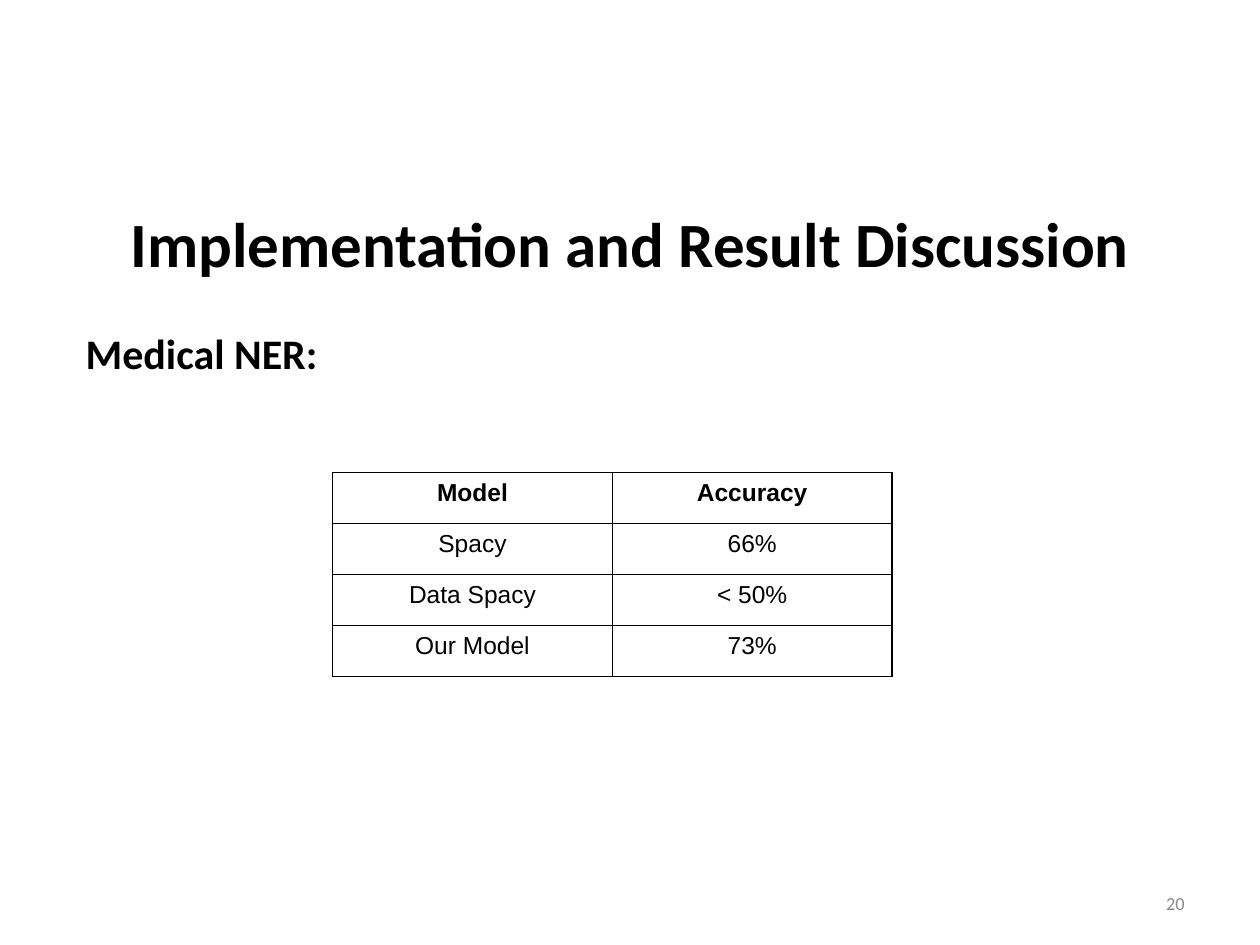
from dataclasses import dataclass

from lxml.etree import SubElement
from pptx import Presentation
from pptx.dml.color import RGBColor
from pptx.enum.text import MSO_ANCHOR as Anchor, PP_ALIGN as Align
from pptx.oxml.ns import qn
from pptx.util import Inches, Pt

COLORS = {"text": "000000", "number": "888888", "cell": "FFFFFF", "border": "000000"}


@dataclass
class Label:
    text: str
    box: tuple[float, float, float, float]
    size: float
    align: Align
    color: str = "text"
    bold: bool = True
    anchor: Anchor = Anchor.MIDDLE
    left_inset: float = 0.1
    vertical_inset: float = 0.1
    space_before: float = 0


LABELS = [
    Label("Implementation and Result Discussion", (0.5, 1.42, 9, 1), 36, Align.CENTER),
    Label("20", (7.17, 6.97, 2.33, 0.4), 10.5, Align.RIGHT, "number", False,
          vertical_inset=0.05),
    Label("Medical NER:", (0.5, 2.5, 9, 4.45), 24, Align.LEFT, anchor=Anchor.TOP,
          left_inset=0.18, space_before=4.8),
]

RESULTS = [
    ("Model", "Accuracy"),
    ("Spacy", "66%"),
    ("Data Spacy", "< 50%"),
    ("Our Model", "73%"),
]
TABLE_LEFT, TABLE_TOP = 2.64, 3.75
COLUMN_WIDTH, ROW_HEIGHT = 2.22, 0.405


def format_paragraph(p, font: str, size: float, color: str, bold: bool, align: Align) -> None:
    p.alignment = align
    for r in p.runs:
        r.font.name = font
        r.font.size = Pt(size)
        r.font.bold = bold
        r.font.color.rgb = RGBColor.from_string(COLORS[color])


def add_label(slide, label: Label) -> None:
    tf = slide.shapes.add_textbox(*map(Inches, label.box)).text_frame
    tf.word_wrap = True
    tf.vertical_anchor = label.anchor
    tf.margin_left, tf.margin_right = Inches(label.left_inset), Inches(0.1)
    tf.margin_top = tf.margin_bottom = Inches(label.vertical_inset)
    tf.text = label.text
    p = tf.paragraphs[0]
    p.space_before = Pt(label.space_before)
    format_paragraph(p, "Calibri", label.size, label.color, label.bold, label.align)


def style_cell(cell) -> None:
    """Give the cell a thin border on each side and a plain fill."""
    tc_pr = cell._tc.get_or_add_tcPr()
    for side in ("lnL", "lnR", "lnT", "lnB"):
        line = SubElement(tc_pr, qn(f"a:{side}"), w=str(Pt(1)))
        fill = SubElement(line, qn("a:solidFill"))
        SubElement(fill, qn("a:srgbClr"), val=COLORS["border"])
    cell.fill.solid()
    cell.fill.fore_color.rgb = RGBColor.from_string(COLORS["cell"])


def add_results_table(slide) -> None:
    rows, columns = len(RESULTS), len(RESULTS[0])
    table = slide.shapes.add_table(
        rows, columns, Inches(TABLE_LEFT), Inches(TABLE_TOP),
        Inches(columns * COLUMN_WIDTH), Inches(rows * ROW_HEIGHT)).table
    table.horz_banding = False
    for i, values in enumerate(RESULTS):
        for j, value in enumerate(values):
            cell = table.cell(i, j)
            cell.text = value
            format_paragraph(cell.text_frame.paragraphs[0], "Arial", 14, "text",
                             i == 0, Align.CENTER)
            style_cell(cell)


def main() -> None:
    prs = Presentation()
    prs.slide_width, prs.slide_height = Inches(10), Inches(7.5)
    slide = prs.slides.add_slide(prs.slide_layouts[6])
    for label in LABELS:
        add_label(slide, label)
    add_results_table(slide)
    prs.save("out.pptx")


if __name__ == "__main__":
    main()
